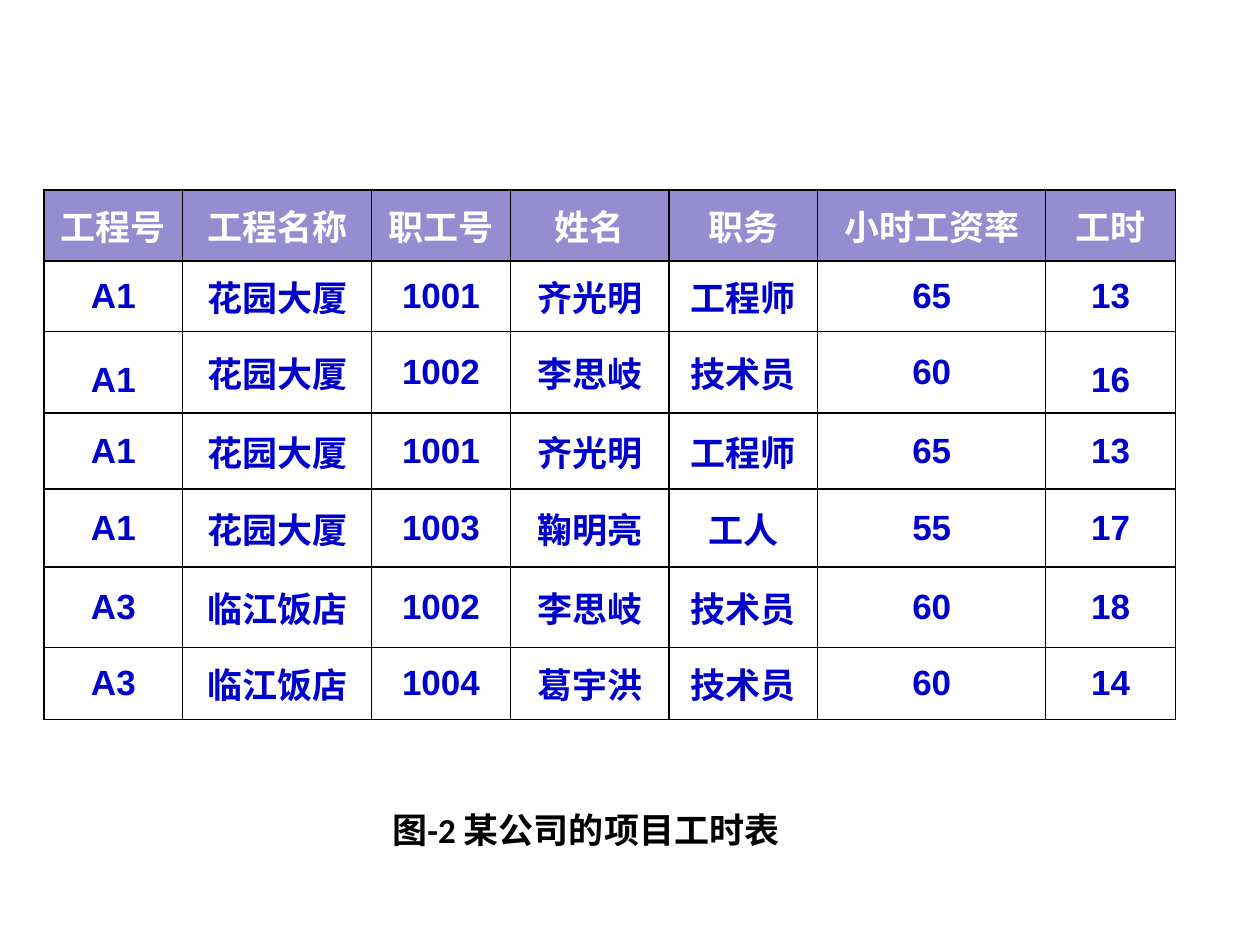
from lxml import etree
from pptx import Presentation
from pptx import util as u
from pptx.dml.color import RGBColor
from pptx.enum import text
from pptx.oxml import ns

BLACK = RGBColor(0x00, 0x00, 0x00)
WHITE = RGBColor(0xFF, 0xFF, 0xFF)
BLUE = RGBColor(0x00, 0x00, 0xCC)
LAVENDER = RGBColor(0x95, 0x8D, 0xCF)
CJK = "Noto Sans CJK SC"

COLUMN_WIDTHS = [1.1, 1.5, 1.1, 1.26, 1.18, 1.81, 1.03]
ROW_HEIGHTS = [0.56, 0.56, 0.65, 0.6, 0.62, 0.64, 0.57]
TIMESHEET = [
    ["工程号", "工程名称", "职工号", "姓名", "职务", "小时工资率", "工时"],
    ["A1", "花园大厦", "1001", "齐光明", "工程师", "65", "13"],
    ["A1", "花园大厦", "1002", "李思岐", "技术员", "60", "16"],
    ["A1", "花园大厦", "1001", "齐光明", "工程师", "65", "13"],
    ["A1", "花园大厦", "1003", "鞠明亮", "工人", "55", "17"],
    ["A3", "临江饭店", "1002", "李思岐", "技术员", "60", "18"],
    ["A3", "临江饭店", "1004", "葛宇洪", "技术员", "60", "14"],
]
OUTER_COLUMNS = (0, len(COLUMN_WIDTHS) - 1)
TALL_ROW = 2


def write(paragraph, words, font, color, spacing):
    for name, value in {"alignment": text.PP_ALIGN.CENTER, **spacing}.items():
        setattr(paragraph, name, value)
    run = paragraph.add_run()
    run.text = words
    for name, value in {"size": u.Pt(20), "bold": True, "name": font}.items():
        setattr(run.font, name, value)
    run.font.color.rgb = color
    properties = run.font._element if hasattr(run.font, "_element") else run._r.get_or_add_rPr()
    etree.SubElement(properties, ns.qn("a:ea"), typeface=CJK)


def add_borders(cell):
    properties = cell._tc.get_or_add_tcPr()
    for position, side in enumerate(("a:lnL", "a:lnR", "a:lnT", "a:lnB")):
        border = etree.Element(ns.qn(side), w=str(u.Pt(1)))
        fill = etree.SubElement(border, ns.qn("a:solidFill"))
        etree.SubElement(fill, ns.qn("a:srgbClr"), val=str(BLACK))
        properties.insert(position, border)


def cell_spacing(row, column):
    if column in OUTER_COLUMNS:
        if row == 0:
            return {}
        if row == TALL_ROW:
            return {"line_spacing": 1.4}
    return {"space_before": u.Pt(4)}


def add_timesheet(slide):
    table = slide.shapes.add_table(
        len(ROW_HEIGHTS), len(COLUMN_WIDTHS), u.Inches(0.35), u.Inches(1.51),
        u.Inches(sum(COLUMN_WIDTHS)), u.Inches(sum(ROW_HEIGHTS))).table
    table.horz_banding = False
    for column, width in zip(table.columns, COLUMN_WIDTHS):
        column.width = u.Inches(width)
    for row, height in zip(table.rows, ROW_HEIGHTS):
        row.height = u.Inches(height)
    for r, entries in enumerate(TIMESHEET):
        font, color = (CJK, WHITE) if r == 0 else ("Arial", BLUE)
        for c, words in enumerate(entries):
            cell = table.cell(r, c)
            cell.vertical_anchor = text.MSO_ANCHOR.MIDDLE
            if r == 0:
                cell.fill.solid()
                cell.fill.fore_color.rgb = LAVENDER
            else:
                cell.fill.background()
            add_borders(cell)
            write(cell.text_frame.paragraphs[0], words, font, color, cell_spacing(r, c))


def add_caption(slide):
    frame = slide.shapes.add_textbox(
        u.Inches(2.8), u.Inches(6.43), u.Inches(3.7), u.Inches(0.38)).text_frame
    frame.word_wrap = True
    frame.auto_size = text.MSO_AUTO_SIZE.SHAPE_TO_FIT_TEXT
    write(frame.paragraphs[0], "图-2 某公司的项目工时表", "Calibri", BLACK,
          {"line_spacing": 0.8, "space_before": u.Pt(4)})


def main():
    deck = Presentation()
    deck.slide_width, deck.slide_height = u.Inches(10), u.Inches(7.5)
    slide = deck.slides.add_slide(deck.slide_layouts[6])
    add_timesheet(slide)
    add_caption(slide)
    deck.save("out.pptx")


main()
